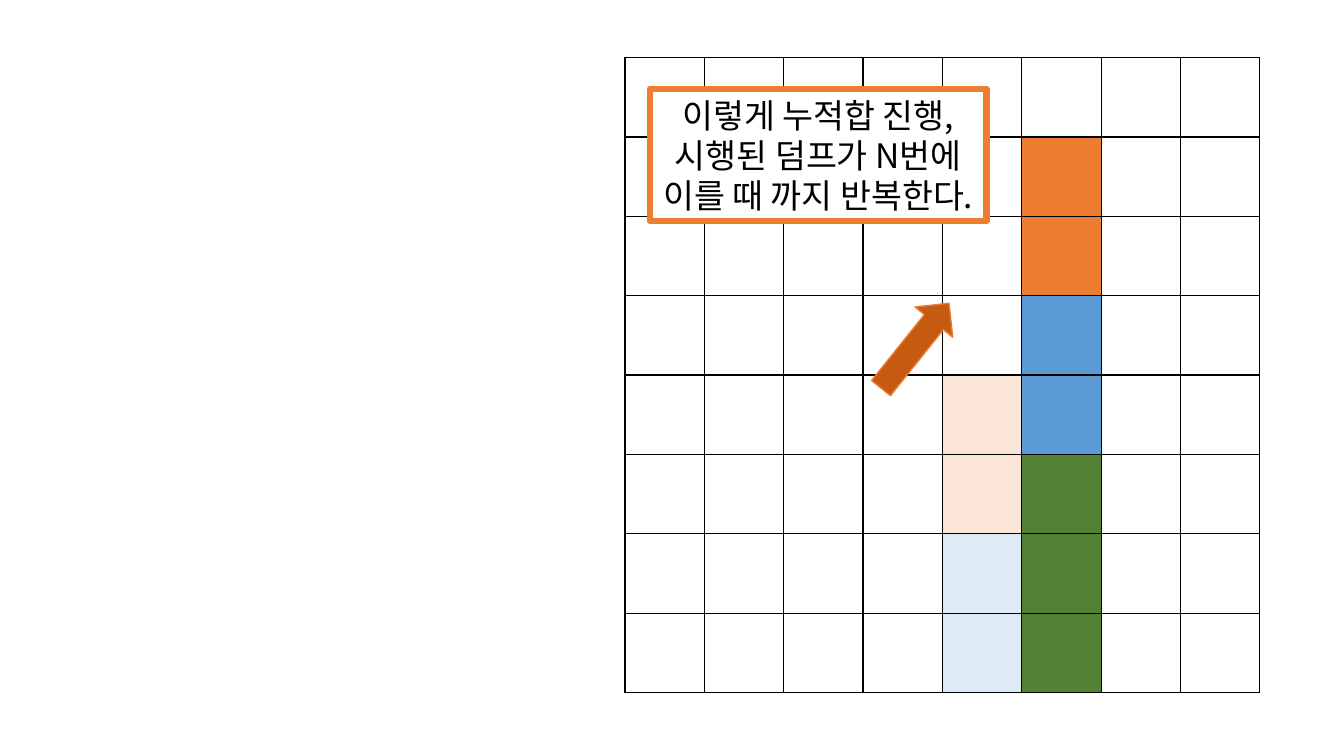
from dataclasses import dataclass

from lxml import etree
from pptx import Presentation
from pptx.dml.color import RGBColor
from pptx.enum.shapes import MSO_SHAPE
from pptx.enum.text import MSO_ANCHOR, MSO_AUTO_SIZE, PP_ALIGN
from pptx.oxml.ns import qn
from pptx.util import Cm, Pt

RECTANGLE = MSO_SHAPE.RECTANGLE
RIGHT_ARROW = MSO_SHAPE.RIGHT_ARROW
CENTER = PP_ALIGN.CENTER
MIDDLE = MSO_ANCHOR.MIDDLE
GROW = MSO_AUTO_SIZE.SHAPE_TO_FIT_TEXT
BLANK_LAYOUT = 6


@dataclass(frozen=True)
class Theme:
    font: str = "Noto Sans CJK KR"
    text_size: float = 24
    grid_width: float = 1
    callout_width: float = 4.5
    black: str = "000000"
    white: str = "FFFFFF"
    orange: str = "ED7D31"
    dark_orange: str = "C55A11"
    pale_orange: str = "FBE5D6"
    blue: str = "5B9BD5"
    pale_blue: str = "DEEBF7"
    green: str = "548235"


THEME = Theme()
GRID_SIZE = 8
# Column index: (first filled row, colours from there to the bottom row)
COLUMN_FILLS = {
    3: (4, [THEME.white] * 4),
    4: (4, [THEME.pale_orange] * 2 + [THEME.pale_blue] * 2),
    5: (1, [THEME.orange] * 2 + [THEME.blue] * 2 + [THEME.green] * 3),
}
# Each inner list is one paragraph, broken into lines
CALLOUT_TEXT = [["이렇게 누적합 진행,", "시행된 덤프가 N번에"], ["이를 때 까지 반복한다."]]


def apply_format(target, values):
    for name, value in values.items():
        setattr(target, name, value)


def set_fill(fill, color):
    fill.solid()
    fill.fore_color.rgb = RGBColor.from_string(color)


def set_cell_borders(cell):
    properties = cell._tc.get_or_add_tcPr()
    for position, side in enumerate(("a:lnL", "a:lnR", "a:lnT", "a:lnB")):
        line = etree.Element(qn(side), w=str(Pt(THEME.grid_width)))
        solid = etree.SubElement(line, qn("a:solidFill"))
        etree.SubElement(solid, qn("a:srgbClr"), val=THEME.black)
        properties.insert(position, line)


def add_grid(slide, left, top, size):
    frame = slide.shapes.add_table(GRID_SIZE, GRID_SIZE, left, top, size, size)
    table = frame.table
    apply_format(table, {"first_row": False, "horz_banding": False})
    for column in table.columns:
        column.width = size // GRID_SIZE
    for row in table.rows:
        row.height = size // GRID_SIZE
    for cell in table.iter_cells():
        cell.fill.background()
        set_cell_borders(cell)
    for column_index, (first_row, colors) in COLUMN_FILLS.items():
        for row_index, color in enumerate(colors, first_row):
            set_fill(table.cell(row_index, column_index).fill, color)


def add_outlined_shape(slide, kind, box, fill, line_width):
    shape = slide.shapes.add_shape(kind, *box)
    shape.shadow.inherit = False
    set_fill(shape.fill, fill)
    set_fill(shape.line.fill, THEME.orange)
    shape.line.width = Pt(line_width)
    return shape


def add_callout(slide, left, top, width, height):
    shape = add_outlined_shape(slide, RECTANGLE, (left, top, width, height),
                               THEME.white, THEME.callout_width)
    text_frame = shape.text_frame
    apply_format(text_frame, {"word_wrap": False, "auto_size": GROW,
                              "vertical_anchor": MIDDLE})
    for index, lines in enumerate(CALLOUT_TEXT):
        paragraph = text_frame.add_paragraph() if index else text_frame.paragraphs[0]
        paragraph.alignment = CENTER
        for line_index, line in enumerate(lines):
            if line_index:
                paragraph.add_line_break()
            run = paragraph.add_run()
            run.text = line
            apply_format(run.font, {"name": THEME.font, "size": Pt(THEME.text_size)})
            set_fill(run.font.fill, THEME.black)
            etree.SubElement(run.font._element, qn("a:ea"), typeface=THEME.font)


def add_arrow(slide, left, top, width, height):
    arrow = add_outlined_shape(slide, RIGHT_ARROW, (left, top, width, height),
                               THEME.dark_orange, THEME.grid_width)
    arrow.rotation = 308.7


def add_dump_slide(presentation):
    """Place the stacked-cell grid with its callout and arrow."""
    slide = presentation.slides.add_slide(presentation.slide_layouts[BLANK_LAYOUT])
    left, top = Cm(15.75), Cm(1.45)
    add_grid(slide, left, top, Cm(16))
    add_callout(slide, left + Cm(0.63), top + Cm(0.79), Cm(8.48), Cm(3.33))
    add_arrow(slide, left + Cm(5.94), top + Cm(6.65), Cm(2.74), Cm(1.22))


def main():
    presentation = Presentation()
    apply_format(presentation, {"slide_width": Cm(33.87), "slide_height": Cm(19.05)})
    add_dump_slide(presentation)
    presentation.save("out.pptx")


if __name__ == "__main__":
    main()
